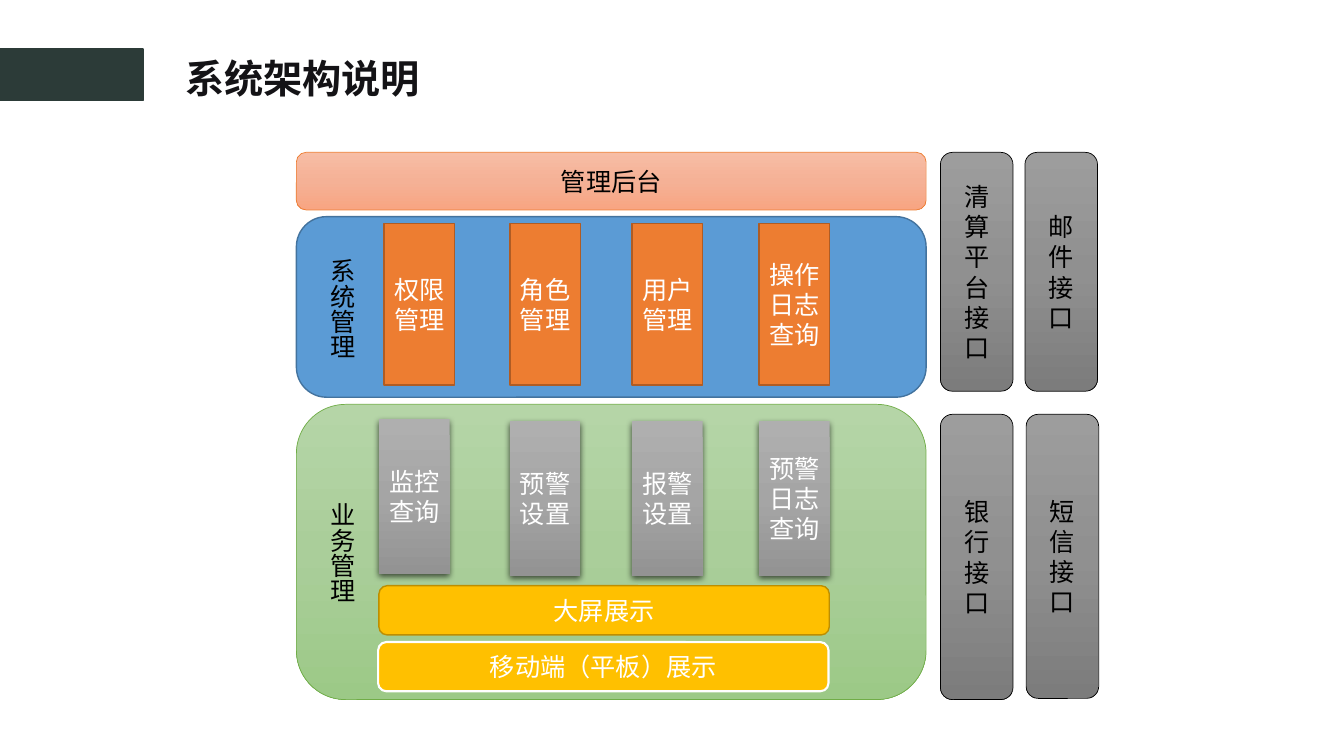
from copy import deepcopy
from dataclasses import dataclass
from typing import Optional

from lxml.etree import SubElement
from pptx import Presentation
from pptx.dml.color import RGBColor
from pptx.enum.shapes import MSO_SHAPE as Preset
from pptx.enum.text import MSO_ANCHOR as Anchor, MSO_AUTO_SIZE as AutoSize, PP_ALIGN as Align
from pptx.oxml.ns import qn
from pptx.util import Cm, Pt

FONT = "Noto Sans CJK SC"
BLACK, WHITE = "000000", "FFFFFF"


@dataclass(frozen=True)
class Style:
    fills: tuple[str, ...]
    line: Optional[str] = None
    line_width: float = 1
    text_color: str = WHITE
    preset: Preset = Preset.ROUNDED_RECTANGLE
    shadow: bool = False


@dataclass(frozen=True)
class Box:
    left: float
    top: float
    width: float
    height: float
    style: Style
    text: str = ""


ACCENT = Style(("2C3B38",), "2C3B38", preset=Preset.RECTANGLE)
CONSOLE = Style(("F7BDA5", "F5B196", "F8A582"), "ED7D31", 0.5, BLACK)
SYSTEM_PANEL = Style(("5B9BD5",), "43739E")
BUSINESS_PANEL = Style(("B5D5A7", "AACE9A", "9CC987"), "70AD47", 0.5)
SYSTEM_MODULE = Style(("ED7D31",), "AF5C24", preset=Preset.RECTANGLE)
BUSINESS_MODULE = Style(("AFAFAF", "A5A5A5", "939393"), preset=Preset.RECTANGLE, shadow=True)
SCREEN = Style(("FFC000",), "BD8E00")
MOBILE = Style(("FFC000",), WHITE, 1.5)
INTERFACE = Style(("9D9D9D", "909090", "7C7C7C"), BLACK, 0.5, BLACK)

PANEL_LEFT, PANEL_WIDTH = 7.47, 15.87
MODULE_WIDTH = 1.78
COLUMNS = (9.68, 12.85, 15.93, 19.13)
SYSTEM_MODULES = ("权限管理", "角色管理", "用户管理", "操作日志查询")
BUSINESS_MODULES = ("预警设置", "报警设置", "预警日志查询")

BOXES = [
    Box(0, 1.24, 3.61, 1.3, ACCENT),
    Box(PANEL_LEFT, 3.84, PANEL_WIDTH, 1.45, CONSOLE, "管理后台"),
    Box(PANEL_LEFT, 5.46, PANEL_WIDTH, 4.55, SYSTEM_PANEL),
    Box(PANEL_LEFT, 10.19, PANEL_WIDTH, 7.44, BUSINESS_PANEL),
    *(Box(left, 5.64, MODULE_WIDTH, 4.06, SYSTEM_MODULE, text)
      for left, text in zip(COLUMNS, SYSTEM_MODULES)),
    Box(9.55, 10.57, MODULE_WIDTH, 3.89, BUSINESS_MODULE, "监控查询"),
    *(Box(left, 10.62, MODULE_WIDTH, 3.89, BUSINESS_MODULE, text)
      for left, text in zip(COLUMNS[1:], BUSINESS_MODULES)),
    Box(9.55, 14.76, 11.35, 1.24, SCREEN, "大屏展示"),
    Box(9.53, 16.18, 11.35, 1.24, MOBILE, "移动端（平板）展示"),
    Box(23.7, 3.84, 1.83, 6.02, INTERFACE, "清算平台接口"),
    Box(23.7, 10.44, 1.83, 7.19, INTERFACE, "银行接口"),
    Box(25.83, 3.84, 1.83, 6.02, INTERFACE, "邮件接口"),
    Box(25.86, 10.44, 1.83, 7.16, INTERFACE, "短信接口"),
]


def rgb(color: str) -> RGBColor:
    return RGBColor.from_string(color)


def write_text(shape, text: str, *, size: float = 18, color: str = BLACK,
               bold: bool = False, align: Align = Align.LEFT,
               anchor: Anchor = Anchor.TOP, wrap: bool = True) -> None:
    frame = shape.text_frame
    frame.word_wrap = wrap
    frame.vertical_anchor = anchor
    paragraph = frame.paragraphs[0]
    paragraph.alignment = align
    run = paragraph.add_run()
    run.text = text
    run.font.size = Pt(size)
    run.font.bold = bold
    run.font.name = FONT
    run.font.color.rgb = rgb(color)
    SubElement(run.font._element, qn("a:ea"), typeface=FONT)


def paint(shape, colors: tuple[str, ...]) -> None:
    fill = shape.fill
    if len(colors) == 1:
        fill.solid()
        fill.fore_color.rgb = rgb(colors[0])
        return
    fill.gradient()
    fill.gradient_angle = 270
    stop_list = shape._element.spPr.find(qn("a:gradFill")).find(qn("a:gsLst"))
    stop_list.insert(1, deepcopy(stop_list[0]))
    for index, (stop, color) in enumerate(zip(fill.gradient_stops, colors)):
        stop.position = index / (len(colors) - 1)
        stop.color.rgb = rgb(color)


def add_shadow(shape) -> None:
    effects = shape._element.spPr.find(qn("a:effectLst"))
    shadow = SubElement(effects, qn("a:outerShdw"), blurRad=str(Pt(4.5)), dist=str(Pt(1.5)),
                        dir="5400000", algn="ctr", rotWithShape="0")
    color = SubElement(shadow, qn("a:srgbClr"), val=BLACK)
    SubElement(color, qn("a:alpha"), val="63000")


def add_box(slide, box: Box) -> None:
    style = box.style
    shape = slide.shapes.add_shape(style.preset, Cm(box.left), Cm(box.top),
                                   Cm(box.width), Cm(box.height))
    paint(shape, style.fills)
    if style.line:
        shape.line.color.rgb = rgb(style.line)
        shape.line.width = Pt(style.line_width)
    else:
        shape.line.fill.background()
    shape.shadow.inherit = False
    if style.shadow:
        add_shadow(shape)
    if box.text:
        write_text(shape, box.text, color=style.text_color,
                   align=Align.CENTER, anchor=Anchor.MIDDLE)


def add_title(slide, text: str) -> None:
    title = slide.shapes.add_textbox(Cm(4.42), Cm(1.24), Cm(16.87), Cm(1.45))
    write_text(title, text, size=28, color="141316", bold=True)
    title.text_frame.auto_size = AutoSize.SHAPE_TO_FIT_TEXT


def add_panel_label(slide, text: str, top: float) -> None:
    label = slide.shapes.add_textbox(Cm(7.85), Cm(top), Cm(1.27), Cm(2.82))
    write_text(label, text, wrap=False)
    label.text_frame.auto_size = AutoSize.SHAPE_TO_FIT_TEXT
    label.text_frame._txBody.bodyPr.set("vert", "eaVert")


def main() -> None:
    presentation = Presentation()
    presentation.slide_width = Cm(33.87)
    presentation.slide_height = Cm(19.05)
    slide = presentation.slides.add_slide(presentation.slide_layouts[6])
    add_title(slide, "系统架构说明")
    for box in BOXES:
        add_box(slide, box)
    add_panel_label(slide, "系统管理", 6.27)
    add_panel_label(slide, "业务管理", 12.42)
    presentation.save("out.pptx")


if __name__ == "__main__":
    main()
